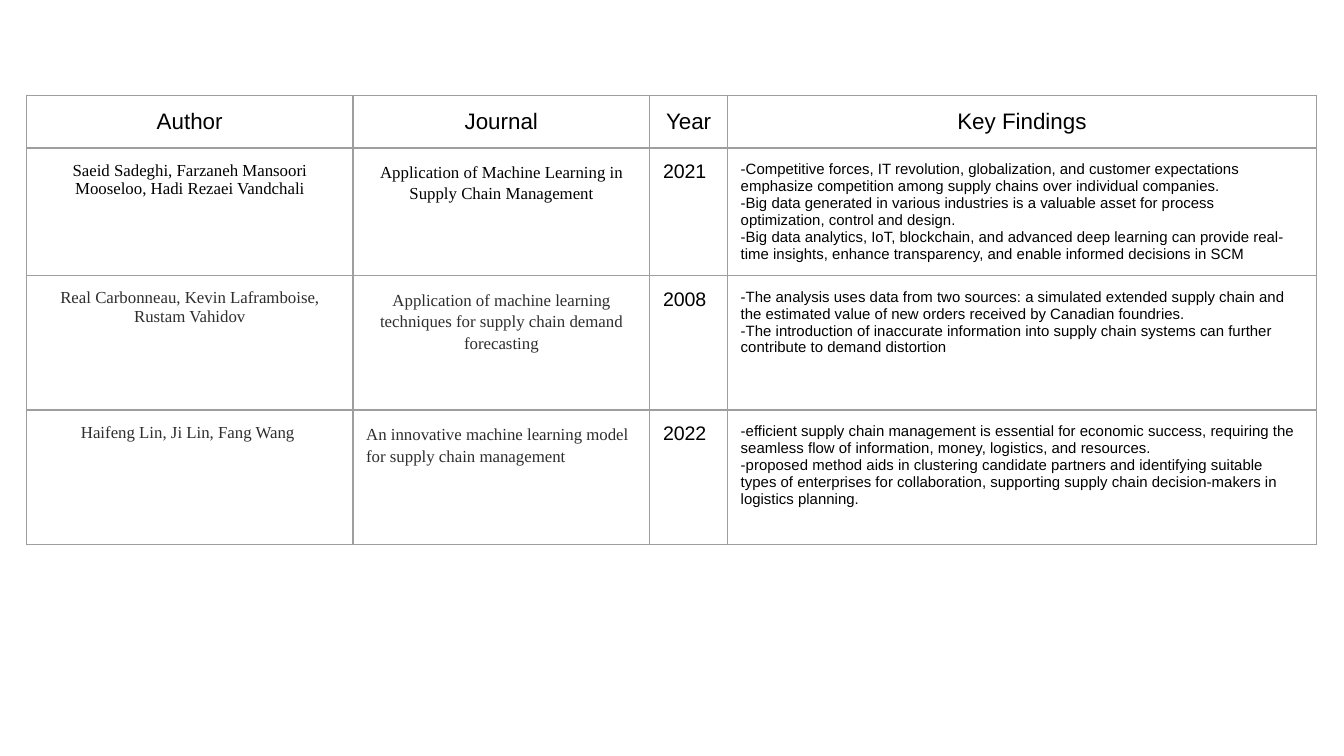
from dataclasses import dataclass

import lxml.etree
import pptx
import pptx.dml.color
import pptx.enum.text
import pptx.oxml.ns
import pptx.util

Cm = pptx.util.Cm
Pt = pptx.util.Pt
Align = pptx.enum.text.PP_ALIGN


@dataclass(frozen=True)
class Theme:
    sans: str = "Arial"
    serif: str = "Times New Roman"
    black: str = "000000"
    charcoal: str = "2E2E2E"
    border: str = "9E9E9E"
    border_width: float = 0.75
    header_size: float = 12
    year_size: float = 10.5
    citation_size: float = 9
    findings_size: float = 8
    cell_margin: float = 0.25


@dataclass(frozen=True)
class Study:
    authors: str
    journal: str
    year: str
    findings: tuple
    citation_color: str
    journal_format: dict


THEME = Theme()
HEADERS = ("Author", "Journal", "Year", "Key Findings")
COLUMN_WIDTHS = (6.17, 5.61, 1.47, 11.13)
ROW_HEIGHTS = (0.99, 2.21, 2.54, 2.54)
STUDIES = (
    Study(
        "Saeid Sadeghi, Farzaneh Mansoori Mooseloo, Hadi Rezaei Vandchali",
        "Application of Machine Learning in Supply Chain Management",
        "2021",
        (
            "-Competitive forces, IT revolution, globalization, and customer expectations "
            "emphasize competition among supply chains over individual companies.",
            "-Big data generated in various industries is a valuable asset for process "
            "optimization, control and design.",
            "-Big data analytics, IoT, blockchain, and advanced deep learning can provide "
            "real-time insights, enhance transparency, and enable informed decisions in SCM",
        ),
        THEME.black,
        dict(align=Align.CENTER, line_spacing=1.13),
    ),
    Study(
        "Real Carbonneau, Kevin Laframboise, Rustam Vahidov",
        "Application of machine learning techniques for supply chain demand forecasting",
        "2008",
        (
            "-The analysis uses data from two sources: a simulated extended supply chain and "
            "the estimated value of new orders received by Canadian foundries.",
            "-The introduction of inaccurate information into supply chain systems can "
            "further contribute to demand distortion",
        ),
        THEME.charcoal,
        dict(align=Align.CENTER, line_spacing=1.15, space_before=12),
    ),
    Study(
        "Haifeng Lin, Ji Lin, Fang Wang ",
        "An innovative machine learning model for supply chain management",
        "2022",
        (
            "-efficient supply chain management is essential for economic success, requiring "
            "the seamless flow of information, money, logistics, and resources.",
            "-proposed method aids in clustering candidate partners and identifying suitable "
            "types of enterprises for collaboration, supporting supply chain decision-makers "
            "in logistics planning.",
        ),
        THEME.charcoal,
        dict(line_spacing=1.15, space_before=12),
    ),
)


def write_text(text_frame, *texts, size, font=THEME.sans, color=THEME.black,
               align=Align.LEFT, line_spacing=None, space_before=0):
    """Write each text as one paragraph in the same format."""
    for index, text in enumerate(texts):
        paragraph = text_frame.add_paragraph() if index else text_frame.paragraphs[0]
        paragraph.alignment = align
        paragraph.line_spacing = line_spacing
        paragraph.space_before = Pt(space_before)
        run = paragraph.add_run()
        run.text = text
        run.font.name = font
        run.font.size = Pt(size)
        run.font.color.rgb = pptx.dml.color.RGBColor.from_string(color)


def style_cell(cell):
    """Clear the fill, set even margins and outline all four sides."""
    cell.fill.background()
    margin = Cm(THEME.cell_margin)
    cell.margin_left = cell.margin_right = margin
    cell.margin_top = cell.margin_bottom = margin
    qualified = pptx.oxml.ns.qn
    properties = cell._tc.get_or_add_tcPr()
    for position, side in enumerate(("lnL", "lnR", "lnT", "lnB")):
        line = lxml.etree.Element(qualified(f"a:{side}"), w=str(Pt(THEME.border_width)))
        fill = lxml.etree.SubElement(line, qualified("a:solidFill"))
        lxml.etree.SubElement(fill, qualified("a:srgbClr"), val=THEME.border)
        properties.insert(position, line)


def fill_header(table):
    for column, header in enumerate(HEADERS):
        write_text(table.cell(0, column).text_frame, header,
                   size=THEME.header_size, align=Align.CENTER)


def fill_study(table, row, study):
    authors, journal, year, findings = (cell.text_frame for cell in table.rows[row].cells)
    citation = dict(size=THEME.citation_size, font=THEME.serif, color=study.citation_color)
    write_text(authors, study.authors, align=Align.CENTER, **citation)
    write_text(journal, study.journal, **citation, **study.journal_format)
    write_text(year, study.year, size=THEME.year_size)
    write_text(findings, *study.findings, size=THEME.findings_size)


def add_literature_table(slide, left, top, width, height):
    """Place the table in the box, sharing it out by the column and row proportions."""
    frame = slide.shapes.add_table(len(ROW_HEIGHTS), len(COLUMN_WIDTHS),
                                   Cm(left), Cm(top), Cm(width), Cm(height))
    table = frame.table
    for column, share in zip(table.columns, COLUMN_WIDTHS):
        column.width = Cm(width * share / sum(COLUMN_WIDTHS))
    for row, share in zip(table.rows, ROW_HEIGHTS):
        row.height = Cm(height * share / sum(ROW_HEIGHTS))
    for cell in table.iter_cells():
        style_cell(cell)
    fill_header(table)
    for row, study in enumerate(STUDIES, start=1):
        fill_study(table, row, study)


def main():
    presentation = pptx.Presentation()
    presentation.slide_width = Cm(25.4)
    presentation.slide_height = Cm(14.29)
    slide = presentation.slides.add_slide(presentation.slide_layouts[6])
    add_literature_table(slide, left=0.5, top=1.81,
                         width=sum(COLUMN_WIDTHS), height=sum(ROW_HEIGHTS))
    presentation.save("out.pptx")


if __name__ == "__main__":
    main()
